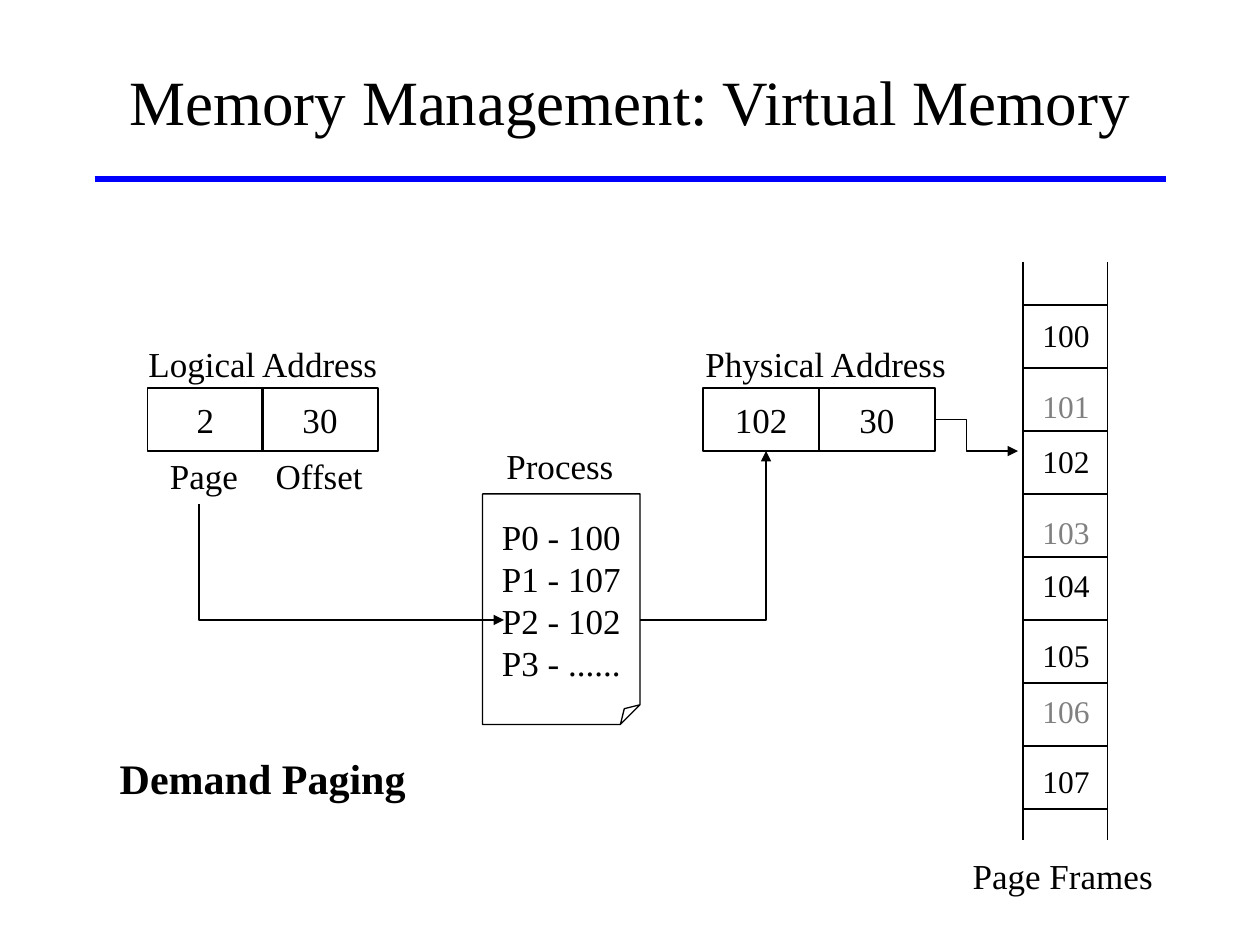
from dataclasses import dataclass
from lxml import etree
from pptx import Presentation
from pptx import util as u
from pptx.dml.color import RGBColor
from pptx.enum import shapes, text
from pptx.oxml.ns import qn

FONT = "Times New Roman"
HUES = {"ink": "000000", "gray": "808080", "rule": "0000FF"}
LEFT, RIGHT = 8.12, 8.79
TOP, BASE = 2.08, 6.67


@dataclass
class Label:
    words: str
    x: float
    y: float
    w: float
    h: float = 0.43
    size: int = 20
    hue: str = "ink"
    bold: bool = False
    mid: bool = False


@dataclass
class Box:
    words: str
    x: float
    y: float = 3.08
    w: float = 0.92
    h: float = 0.5
    kind: shapes.MSO_SHAPE = shapes.MSO_SHAPE.RECTANGLE


@dataclass
class Route:
    points: list[tuple[float, float]]


LABELS = [
    Label("Logical Address", 1.08, 2.67, 2.03),
    Label("Page", 1.25, 3.56, 0.74),
    Label("Offset", 2.09, 3.56, 0.9),
    Label("Physical Address", 5.5, 2.67, 2.12),
    Label("Process", 3.92, 3.48, 1.05),
    Label("Page Frames", 7.62, 6.73, 1.63, mid=True),
    Label("Demand Paging", 0.85, 5.92, 2.47, 0.5, 24, bold=True, mid=True),
]
BOXES = [
    Box("2", 1.17),
    Box("30", 2.08),
    Box("102", 5.58),
    Box("30", 6.5),
    Box("P0 - 100\nP1 - 107\nP2 - 102\nP3 - ......", 3.83, 3.92, 1.25, 1.83,
        shapes.MSO_SHAPE.FOLDED_CORNER),
]
ROUTES = [
    Route([(1.58, 4), (1.58, 4.92), (4, 4.92)]),
    Route([(5.08, 4.92), (6.08, 4.92), (6.08, 3.58)]),
    Route([(7.42, 3.33), (7.67, 3.33), (7.67, 3.58), (8.08, 3.58)]),
]
TOPS = [2.46, 3.02, 3.46, 4.02, 4.44, 5, 5.44, 6]
UNUSED = {101, 103, 106}


def color(hue: str) -> RGBColor:
    return RGBColor.from_string(HUES[hue])


def write(frame, words: str, size: int, hue: str = "ink",
          bold: bool = False, mid: bool = True) -> None:
    frame.text = words
    for para in frame.paragraphs:
        para.alignment = text.PP_ALIGN.CENTER if mid else text.PP_ALIGN.LEFT
        for run in para.runs:
            font = run.font
            font.name, font.size, font.bold = FONT, u.Pt(size), bold
            font.color.rgb = color(hue)


def stroke(line, hue: str = "ink", width: float = 0.75) -> None:
    line.color.rgb = color(hue)
    line.width = u.Pt(width)


def label(slide, item: Label) -> None:
    shape = slide.shapes.add_textbox(*map(u.Inches, (item.x, item.y, item.w, item.h)))
    frame = shape.text_frame
    frame.word_wrap = False
    write(frame, item.words, item.size, item.hue, item.bold, item.mid)


def box(slide, item: Box) -> None:
    shape = slide.shapes.add_shape(
        item.kind, *map(u.Inches, (item.x, item.y, item.w, item.h)))
    shape.shadow.inherit = False
    shape.fill.background()
    stroke(shape.line)
    if item.kind == shapes.MSO_SHAPE.FOLDED_CORNER:
        guides = next(shape._element.iter(qn("a:avLst")))
        etree.SubElement(guides, qn("a:gd"), name="adj", fmla="val 12500")
    frame = shape.text_frame
    frame.word_wrap = False
    frame.vertical_anchor = text.MSO_ANCHOR.MIDDLE
    write(frame, item.words, 20)


def line(slide, x1: float, y1: float, x2: float, y2: float,
         hue: str = "ink", width: float = 0.75) -> None:
    link = slide.shapes.add_connector(
        shapes.MSO_CONNECTOR.STRAIGHT, *map(u.Inches, (x1, y1, x2, y2)))
    stroke(link.line, hue, width)
    etree.SubElement(link._element.spPr, qn("a:effectLst"))


def route(slide, item: Route) -> None:
    first, *rest = [(u.Inches(x), u.Inches(y)) for x, y in item.points]
    pen = slide.shapes.build_freeform(*first)
    pen.add_line_segments(rest, close=False)
    shape = pen.convert_to_shape()
    shape.shadow.inherit = False
    shape.fill.background()
    stroke(shape.line)
    etree.SubElement(shape.line._get_or_add_ln(), qn("a:tailEnd"), type="triangle")


def main() -> None:
    deck = Presentation()
    deck.slide_width, deck.slide_height = u.Inches(10), u.Inches(7.5)
    slide = deck.slides.add_slide(deck.slide_layouts[5])

    line(slide, 0.75, 1.42, 9.25, 1.42, "rule", 3)
    title = slide.shapes.title
    title.left, title.top = u.Inches(0.75), u.Inches(0.17)
    title.width, title.height = u.Inches(8.5), u.Inches(1.25)
    title.text_frame.vertical_anchor = text.MSO_ANCHOR.MIDDLE
    write(title.text_frame, "Memory Management: Virtual Memory", 36)

    for x in (LEFT, RIGHT):
        line(slide, x, TOP, x, BASE)
    for step in range(len(TOPS) + 1):
        y = 2.42 + 0.5 * step
        line(slide, LEFT, y, RIGHT, y)
    for num, y in enumerate(TOPS, 100):
        hue = "gray" if num in UNUSED else "ink"
        label(slide, Label(str(num), 8.17, y, 0.58, 0.4, 18, hue, mid=True))

    for item in BOXES:
        box(slide, item)
    for item in LABELS:
        label(slide, item)
    for item in ROUTES:
        route(slide, item)
    deck.save("out.pptx")


if __name__ == "__main__":
    main()
